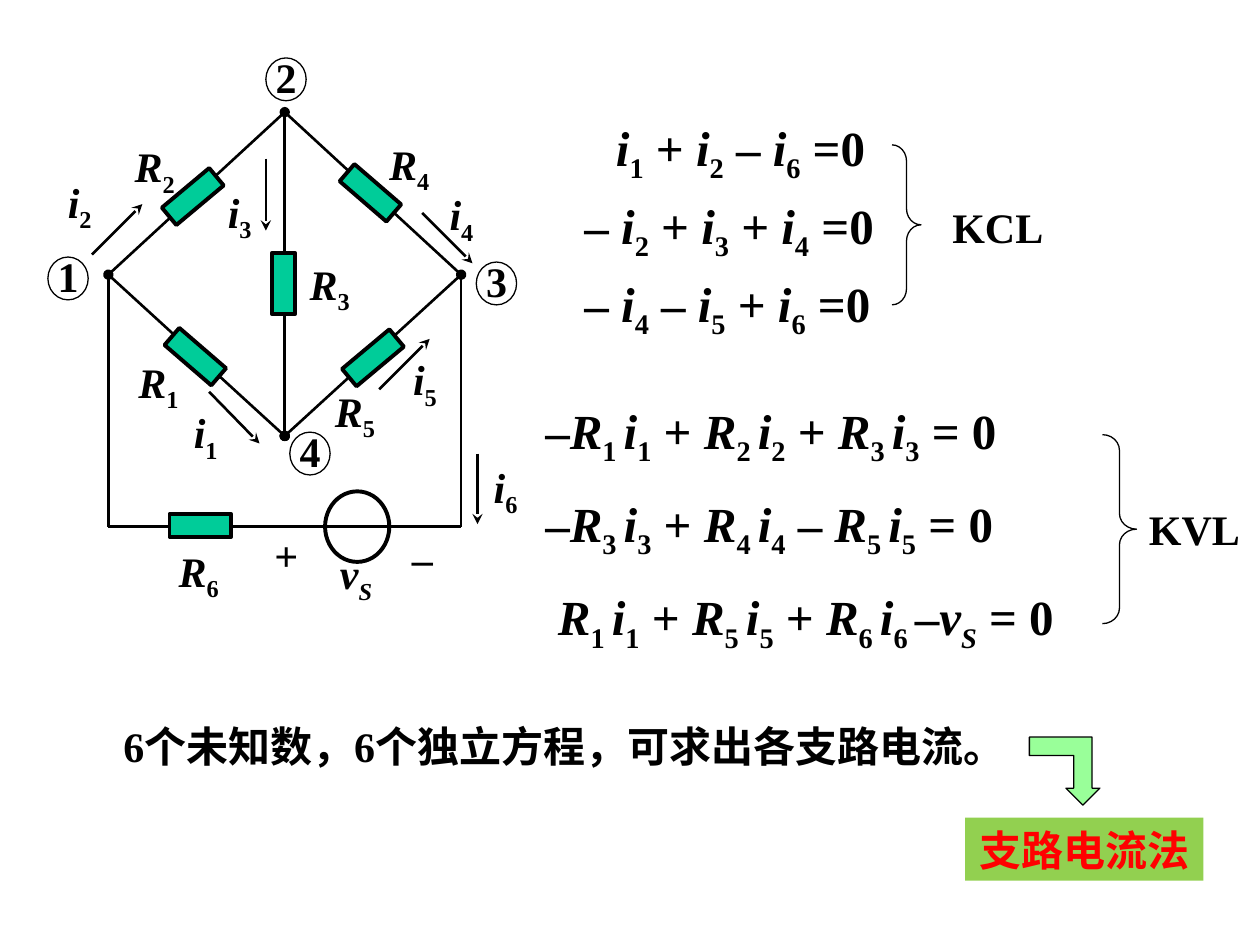
import dataclasses
import typing

import lxml.etree
import pptx
import pptx.dml.color
import pptx.enum.shapes
import pptx.enum.text
import pptx.oxml.ns
import pptx.util

Inches = pptx.util.Inches
Points = pptx.util.Pt
Shapes = pptx.enum.shapes.MSO_SHAPE
Pair = tuple[float, float]


@dataclasses.dataclass(frozen=True)
class Theme:
    font: str = "Times New Roman"
    ink: str = "000000"
    resistor: str = "00CC99"
    arrow: str = "99FF99"
    method_fill: str = "92D050"
    method_text: str = "FF0000"
    body: int = 24
    equation: int = 28
    thin: float = 0.75
    wire: float = 1.5
    thick: float = 2.25


@dataclasses.dataclass(frozen=True)
class Label:
    text: str
    left: float
    top: float
    width: float = 0.54


@dataclasses.dataclass(frozen=True)
class Wire:
    start: Pair
    end: Pair
    head: str = ""
    tail: str = ""


@dataclasses.dataclass(frozen=True)
class Resistor:
    center: Pair
    rotation: float = 0


@dataclasses.dataclass(frozen=True)
class EquationSystem:
    left: float
    top: float
    width: float
    height: float
    space: float
    lines: tuple[tuple[str, float], ...]
    brace: tuple[float, float, float, float]
    brace_curve: float
    name: Label


THEME = Theme()
NODE_LEFT, NODE_TOP, NODE_RIGHT, NODE_BOTTOM = (0.86, 2.18), (2.26, 0.89), (3.66, 2.18), (2.26, 3.46)
BASE = 4.18

WIRES = (
    Wire(NODE_TOP, NODE_BOTTOM, "oval", "oval"),
    Wire(NODE_TOP, NODE_RIGHT),
    Wire(NODE_LEFT, NODE_BOTTOM, "oval", "oval"),
    Wire(NODE_RIGHT, NODE_BOTTOM, "oval", "oval"),
    Wire(NODE_TOP, NODE_LEFT),
    Wire(NODE_LEFT, (NODE_LEFT[0], BASE)),
    Wire(NODE_RIGHT, (NODE_RIGHT[0], BASE)),
    Wire((NODE_LEFT[0], BASE), (NODE_RIGHT[0], BASE)),
)
CURRENT_ARROWS = tuple(Wire(start, end, tail="stealth") for start, end in (
    ((0.73, 2.02), (1.13, 1.62)), ((3.01, 3.09), (3.41, 2.69)),
    ((1.66, 3.11), (2.06, 3.52)), ((3.35, 1.69), (3.75, 2.09)),
    ((2.11, 1.26), (2.11, 1.83)), ((3.79, 3.6), (3.79, 4.16)),
))
RESISTORS = (
    Resistor((2.25, 2.25)), Resistor((1.53, 1.56), 50.1), Resistor((2.94, 1.53), 310.8),
    Resistor((2.96, 2.84), 50.1), Resistor((1.55, 2.83), 310.8), Resistor((1.59, 4.17), 90),
)
CIRCUIT_LABELS = (
    Label("R1", 1, 2.78), Label("R2", 0.97, 1.07), Label("R3", 2.36, 2),
    Label("R4", 2.99, 1.05), Label("R5", 2.56, 3.01), Label("R6", 1.32, 4.28),
    Label("i1", 1.44, 3.18), Label("i2", 0.44, 1.35), Label("i3", 1.71, 1.43),
    Label("i4", 3.47, 1.45), Label("i5", 3.18, 2.76), Label("i6", 3.82, 3.61),
    Label("vS", 2.6, 4.3), Label("+", 2.08, 4.15, 0.5), Label("–", 3.17, 4.18, 0.5),
)
NODE_MARKS = (
    Label("1", 0.38, 2.04), Label("2", 2.11, 0.46), Label("3", 3.78, 2.08), Label("4", 2.3, 3.43),
)
SYSTEMS = (
    EquationSystem(4.54, 0.88, 2.69, 1.69, 6.4,
                   (("i1 + i2 – i6 =0", 0.25), ("– i2 + i3 + i4 =0", 0), ("– i4 – i5 + i6 =0", 0)),
                   (7.08, 1.15, 0.23, 1.27), 0.56, Label("KCL", 7.46, 1.55, 1.15)),
    EquationSystem(4.23, 3.13, 4.62, 1.97, 15,
                   (("–R1_i1 + R2_i2 + R3_i3 = 0", 0), ("–R3_i3 + R4_i4 – R5_i5 = 0", 0),
                    ("R1_i1 + R5_i5 + R6_i6_–vS = 0", 0.1)),
                   (8.75, 3.45, 0.27, 1.5), 0.46, Label("KVL", 9.02, 3.95, 1)),
)


def color(value: str) -> pptx.dml.color.RGBColor:
    return pptx.dml.color.RGBColor.from_string(value)


def split_formula(formula: str) -> list[tuple[str, bool, bool]]:
    pieces: list[tuple[str, bool, bool]] = []
    previous = ""
    for character in formula:
        subscript = character == "_" or previous in ("i", "R", "v")
        italic = character in "iRvS"
        text = " " if character == "_" else character
        if pieces and pieces[-1][1:] == (italic, subscript):
            pieces[-1] = (pieces[-1][0] + text, italic, subscript)
        else:
            pieces.append((text, italic, subscript))
        previous = character
    return pieces


def add_formula(paragraph: typing.Any, formula: str, size: int, ink: str = THEME.ink) -> None:
    for text, italic, subscript in split_formula(formula):
        run = paragraph.add_run()
        run.text = text
        font = run.font
        font.name, font.size, font.bold, font.italic = THEME.font, Points(size), True, italic
        font.color.rgb = color(ink)
        if subscript:
            font._element.set("baseline", "-25000")


def add_text_box(slide: typing.Any, left: float, top: float, width: float, height: float) -> typing.Any:
    box = slide.shapes.add_textbox(Inches(left), Inches(top), Inches(width), Inches(height))
    box.text_frame.word_wrap = True
    box.text_frame.auto_size = pptx.enum.text.MSO_AUTO_SIZE.SHAPE_TO_FIT_TEXT
    return box.text_frame


def add_label(slide: typing.Any, label: Label) -> None:
    frame = add_text_box(slide, label.left, label.top, label.width, 0.5)
    add_formula(frame.paragraphs[0], label.text, THEME.body)


def add_figure(slide: typing.Any, kind: typing.Any, left: float, top: float, width: float,
               height: float, fill: str = "", line: float = 0) -> typing.Any:
    shape = slide.shapes.add_shape(kind, Inches(left), Inches(top), Inches(width), Inches(height))
    shape.shadow.inherit = False
    if fill:
        shape.fill.solid()
        shape.fill.fore_color.rgb = color(fill)
    else:
        shape.fill.background()
    if line:
        shape.line.color.rgb = color(THEME.ink)
        shape.line.width = Points(line)
    else:
        shape.line.fill.background()
    return shape


def add_wire(slide: typing.Any, wire: Wire) -> None:
    connector = slide.shapes.add_connector(
        pptx.enum.shapes.MSO_CONNECTOR.STRAIGHT, *(Inches(value) for value in wire.start + wire.end))
    connector.line.color.rgb = color(THEME.ink)
    connector.line.width = Points(THEME.wire)
    properties = connector._element.spPr
    outline = properties.find(pptx.oxml.ns.qn("a:ln"))
    for tag, kind in (("a:headEnd", wire.head), ("a:tailEnd", wire.tail)):
        if kind:
            lxml.etree.SubElement(outline, pptx.oxml.ns.qn(tag), type=kind)
    lxml.etree.SubElement(properties, pptx.oxml.ns.qn("a:effectLst"))


def add_system(slide: typing.Any, system: EquationSystem) -> None:
    frame = add_text_box(slide, system.left, system.top, system.width, system.height)
    for index, (formula, indent) in enumerate(system.lines):
        paragraph = frame.add_paragraph() if index else frame.paragraphs[0]
        if index:
            paragraph.space_before = Points(system.space)
        if indent:
            paragraph._p.get_or_add_pPr().set("marL", str(Inches(indent)))
        add_formula(paragraph, formula, THEME.equation)
    brace = add_figure(slide, Shapes.RIGHT_BRACE, *system.brace, line=THEME.thin)
    brace.adjustments[0] = system.brace_curve
    add_label(slide, system.name)


def add_circuit(slide: typing.Any) -> None:
    for wire in WIRES:
        add_wire(slide, wire)
    width, height = 0.18, 0.49
    for resistor in RESISTORS:
        x, y = resistor.center
        shape = add_figure(slide, Shapes.RECTANGLE, x - width / 2, y - height / 2, width, height,
                           THEME.resistor, THEME.thick)
        shape.rotation = resistor.rotation
    add_figure(slide, Shapes.OVAL, 2.58, 3.9, 0.51, 0.56, line=THEME.thick)
    for arrow in CURRENT_ARROWS:
        add_wire(slide, arrow)
    for label in CIRCUIT_LABELS:
        add_label(slide, label)
    for mark in NODE_MARKS:
        add_label(slide, Label(mark.text, mark.left - 0.02, mark.top - 0.1, 0.4))
        add_figure(slide, Shapes.OVAL, mark.left, mark.top, 0.32, 0.34, line=THEME.thin)


def add_conclusion(slide: typing.Any) -> None:
    add_label(slide, Label("6个未知数，6个独立方程，可求出各支路电流。", 0.88, 5.67, 7.31))
    method = add_figure(slide, Shapes.RECTANGLE, 7.66, 6.49, 1.89, 0.5, THEME.method_fill)
    method.text_frame.word_wrap = False
    paragraph = method.text_frame.paragraphs[0]
    paragraph.alignment = pptx.enum.text.PP_ALIGN.CENTER
    add_formula(paragraph, "支路电流法", THEME.body, THEME.method_text)
    arrow = add_figure(slide, Shapes.BENT_UP_ARROW, 8.17, 5.85, 0.56, 0.54, THEME.arrow, THEME.thin)
    arrow.adjustments[0] = 0.27
    arrow.rotation = 180
    arrow._element.spPr.find(pptx.oxml.ns.qn("a:xfrm")).set("flipH", "1")


def main() -> None:
    presentation = pptx.Presentation()
    presentation.slide_width, presentation.slide_height = Inches(10), Inches(7.5)
    slide = presentation.slides.add_slide(presentation.slide_layouts[6])
    for system in SYSTEMS:
        add_system(slide, system)
    add_circuit(slide)
    add_conclusion(slide)
    presentation.save("out.pptx")


if __name__ == "__main__":
    main()
